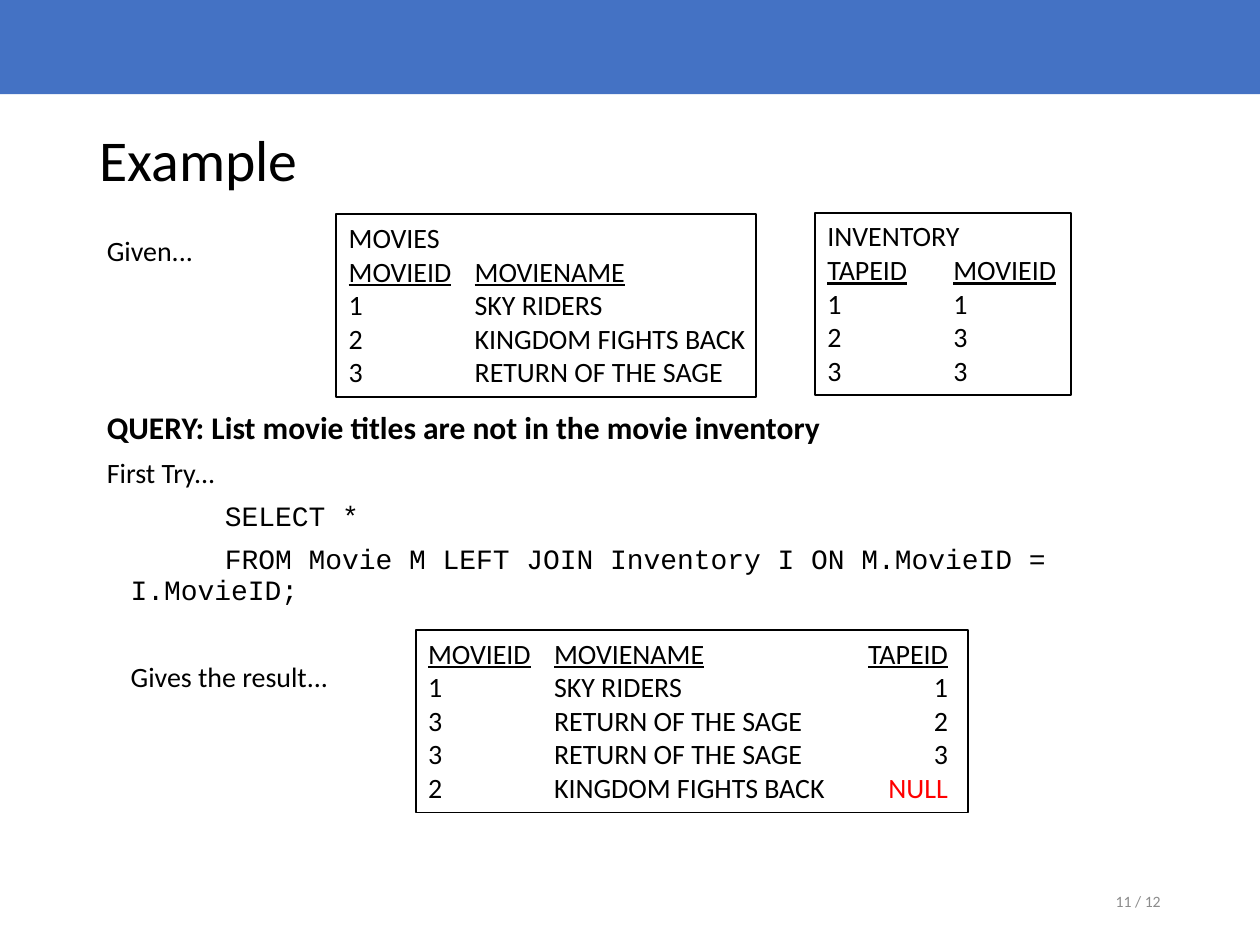
from dataclasses import dataclass

from lxml import etree
from pptx import Presentation
from pptx.dml.color import RGBColor
from pptx.enum.shapes import MSO_SHAPE
from pptx.enum.text import MSO_ANCHOR, MSO_AUTO_SIZE, PP_ALIGN
from pptx.oxml.ns import qn
from pptx.util import Cm, Pt

RECT = MSO_SHAPE.RECTANGLE
LEFT, RIGHT = PP_ALIGN.LEFT, PP_ALIGN.RIGHT
TOP, MIDDLE = MSO_ANCHOR.TOP, MSO_ANCHOR.MIDDLE
FIXED = MSO_AUTO_SIZE.NONE
SANS, MONO = "Calibri", "Courier New"
BLACK, BLUE, GRAY, RED = "000000", "4472C4", "8C8C8C", "FF0000"
HANG = 0.48


@dataclass
class Grid:
    left: float
    top: float
    width: float
    tabs: list[tuple[float, str]]
    head: list[str]
    rows: list[list[str]]
    name: str = ""


@dataclass
class Line:
    text: str
    size: float = 16
    font: str = SANS
    bold: bool = False
    first: float = -HANG
    gap: float = 7.5


FILMS = {"1": "SKY RIDERS", "2": "KINGDOM FIGHTS BACK", "3": "RETURN OF THE SAGE"}

GRIDS = [
    Grid(16.43, 4.29, 5.16, [(2.54, "l")], ["TAPEID", "MOVIEID"],
         [["1", "1"], ["2", "3"], ["3", "3"]], "INVENTORY"),
    Grid(6.78, 4.32, 8.46, [(2.54, "l")], ["MOVIEID", "MOVIENAME"],
         [[key, film] for key, film in FILMS.items()], "MOVIES"),
    Grid(8.38, 12.7, 11.13, [(2.54, "l"), (10.48, "r")],
         ["MOVIEID", "MOVIENAME", "TAPEID"],
         [[key, FILMS[key], tape] for key, tape in
          [("1", "1"), ("3", "2"), ("3", "3"), ("2", "NULL")]]),
]

LINES = [
    Line("Given..."),
    Line("QUERY: List movie titles are not in the movie inventory",
         size=18, bold=True, gap=82.7),
    Line("First Try..."),
    Line("SELECT *", font=MONO, first=1.9),
    Line("FROM Movie M LEFT JOIN Inventory I ON M.MovieID = I.MovieID;",
         font=MONO, first=1.9),
    Line("Gives the result...", first=0, gap=32.6),
]


def paint(code: str) -> RGBColor:
    return RGBColor.from_string(code)


def put(para, text: str, size: float = 16, font: str = SANS, color: str = BLACK,
        bold: bool = False, under: bool = False) -> None:
    run = para.add_run()
    run.text = text
    run.font.size = Pt(size)
    run.font.name = font
    run.font.bold = bold
    run.font.underline = under
    run.font.color.rgb = paint(color)


def next_para(frame, index: int):
    return frame.paragraphs[0] if index == 0 else frame.add_paragraph()


def place(shape, left: float, top: float, width: float, height: float) -> None:
    shape.left, shape.top = Cm(left), Cm(top)
    shape.width, shape.height = Cm(width), Cm(height)


def draw_bar(slide) -> None:
    bar = slide.shapes.add_shape(RECT, 0, 0, Cm(25.4), Cm(1.9))
    bar.shadow.inherit = False
    bar.fill.solid()
    bar.fill.fore_color.rgb = paint(BLUE)
    bar.line.fill.background()


def draw_title(shape, text: str) -> None:
    place(shape, 1.75, 1.88, 21.9, 2.8)
    shape.text_frame.vertical_anchor = MIDDLE
    shape.text_frame.auto_size = FIXED
    para = shape.text_frame.paragraphs[0]
    para.alignment = LEFT
    para.line_spacing = 0.9
    put(para, text, size=33)


def draw_body(shape, lines: list[Line]) -> None:
    place(shape, 1.9, 4.65, 22.86, 12.27)
    frame = shape.text_frame
    frame.auto_size = FIXED
    for index, line in enumerate(lines):
        para = next_para(frame, index)
        para.line_spacing = 0.9
        para.space_before = Pt(line.gap)
        props = para._p.get_or_add_pPr()
        props.set("marL", str(Cm(HANG)))
        props.set("indent", str(Cm(line.first)))
        etree.SubElement(props, qn("a:buNone"))
        put(para, line.text, size=line.size, font=line.font, bold=line.bold)


def set_tabs(para, tabs: list[tuple[float, str]]) -> None:
    stops = etree.SubElement(para._p.get_or_add_pPr(), qn("a:tabLst"))
    for pos, side in tabs:
        etree.SubElement(stops, qn("a:tab"), pos=str(Cm(pos)), algn=side)


def draw_grid(slide, grid: Grid) -> None:
    box = slide.shapes.add_shape(
        RECT, Cm(grid.left), Cm(grid.top), Cm(grid.width), Cm(3.68))
    box.shadow.inherit = False
    box.fill.background()
    box.line.color.rgb = paint(BLACK)
    box.line.width = Pt(1)
    frame = box.text_frame
    frame.word_wrap = True
    frame.vertical_anchor = TOP
    frame.margin_right = 0
    rows = [grid.head, *grid.rows]
    if grid.name:
        rows.insert(0, [grid.name])
    for index, row in enumerate(rows):
        para = next_para(frame, index)
        para.alignment = LEFT
        set_tabs(para, grid.tabs)
        for col, cell in enumerate(row):
            put(para, "\t" + cell if col else cell, under=row is grid.head,
                color=RED if cell == "NULL" else BLACK)


def draw_page(slide, text: str) -> None:
    box = slide.shapes.add_textbox(Cm(17.93), Cm(17.65), Cm(5.72), Cm(1.02))
    box.text_frame.word_wrap = True
    box.text_frame.vertical_anchor = MIDDLE
    para = box.text_frame.paragraphs[0]
    para.alignment = RIGHT
    put(para, text, size=9, color=GRAY)


def main() -> None:
    deck = Presentation()
    deck.slide_width, deck.slide_height = Cm(25.4), Cm(19.05)
    slide = deck.slides.add_slide(deck.slide_layouts[1])
    draw_bar(slide)
    draw_title(slide.shapes.title, "Example")
    draw_body(slide.placeholders[1], LINES)
    draw_page(slide, "11 / 12")
    for grid in GRIDS:
        draw_grid(slide, grid)
    deck.save("out.pptx")


if __name__ == "__main__":
    main()
